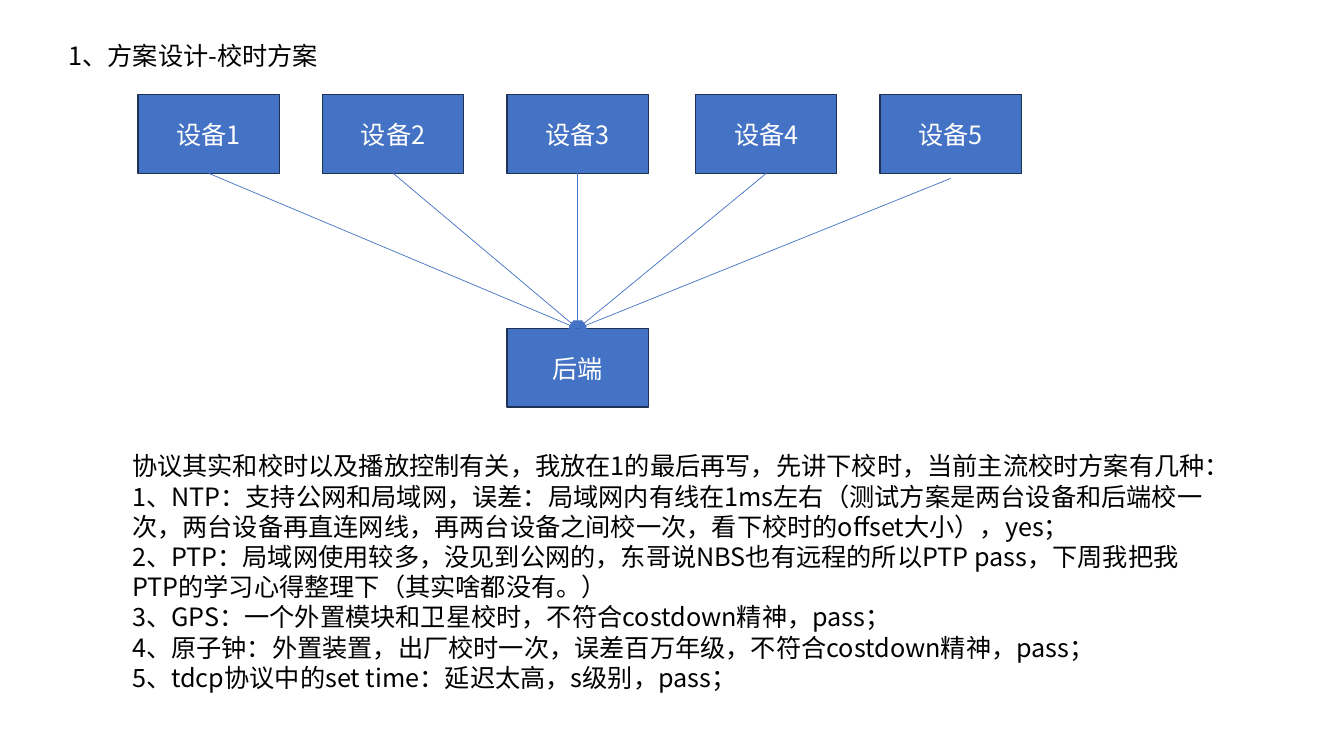
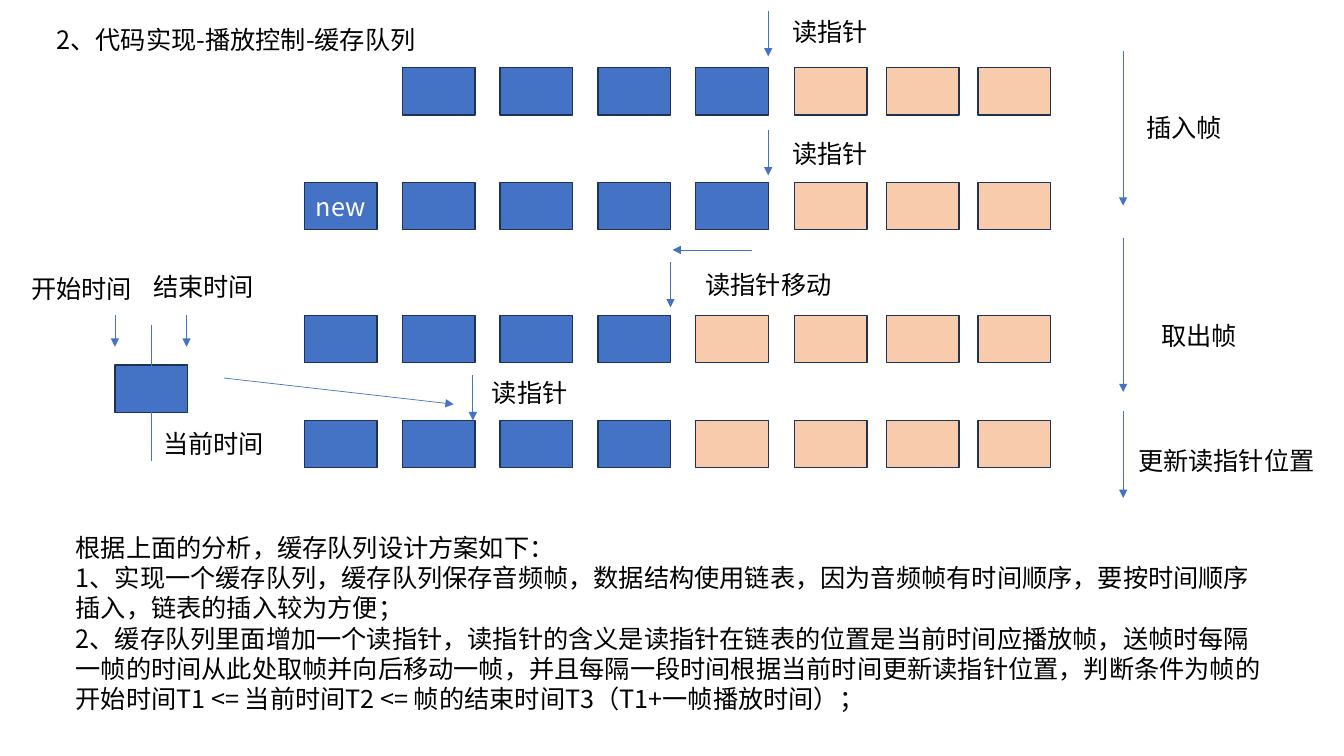
"""Build two slides on clock synchronisation and the playback frame queue."""
from lxml.etree import SubElement
from pptx import Presentation
from pptx.dml.color import RGBColor
from pptx.enum.lang import MSO_LANGUAGE_ID as Lang
from pptx.enum.shapes import MSO_CONNECTOR as Connector, MSO_SHAPE as Preset
from pptx.enum.text import MSO_ANCHOR as Anchor, MSO_AUTO_SIZE as AutoSize, PP_ALIGN as Align
from pptx.oxml.ns import qn
from pptx.util import Inches, Pt

COLORS = {"blue": "4472C4", "peach": "F8CBAD", "outline": "1E3256",
          "ink": "000000", "light": "FFFFFF"}
FONT = "Noto Sans CJK SC"
TEXT_SIZE = Pt(18)
TOP, BOTTOM = 0, 2


def color(name):
    return RGBColor.from_string(COLORS[name])


class Deck:
    def __init__(self):
        self.prs = Presentation()
        self.prs.slide_width = Inches(13.33)
        self.prs.slide_height = Inches(7.5)
        self.slide = None

    def new_slide(self):
        self.slide = self.prs.slides.add_slide(self.prs.slide_layouts[1])

    def run(self, paragraph, text, ink="ink"):
        run = paragraph.add_run()
        run.text = text
        run.font.size = TEXT_SIZE
        run.font.name = FONT
        run.font.color.rgb = color(ink)
        run.font.language_id = Lang.SIMPLIFIED_CHINESE
        SubElement(run.font._element, qn("a:ea"), typeface=FONT)

    def fill_placeholder(self, holder, box, lines):
        holder.left, holder.top, holder.width, holder.height = map(Inches, box)
        frame = holder.text_frame
        frame.word_wrap = True
        frame.auto_size = AutoSize.NONE
        frame.vertical_anchor = Anchor.TOP
        for index, line in enumerate(lines):
            paragraph = frame.add_paragraph() if index else frame.paragraphs[0]
            paragraph.alignment = Align.LEFT
            paragraph.space_before = Pt(0)
            props = paragraph._p.get_or_add_pPr()
            props.set("marL", "0")
            props.set("indent", "0")
            SubElement(props, qn("a:buNone"))
            self.run(paragraph, line)

    def title(self, text, box):
        self.fill_placeholder(self.slide.shapes.title, box, [text])

    def body(self, lines, box):
        self.fill_placeholder(self.slide.placeholders[1], box, lines)

    def box(self, left, top, width, height, text="", fill="blue"):
        box = self.slide.shapes.add_shape(
            Preset.RECTANGLE, Inches(left), Inches(top), Inches(width), Inches(height))
        box.shadow.inherit = False
        box.fill.solid()
        box.fill.fore_color.rgb = color(fill)
        box.line.color.rgb = color("outline")
        box.line.width = Pt(1)
        if text:
            box.text_frame.vertical_anchor = Anchor.MIDDLE
            paragraph = box.text_frame.paragraphs[0]
            paragraph.alignment = Align.CENTER
            self.run(paragraph, text, "light")
        return box

    def frame(self, left, top, text="", fill="blue"):
        return self.box(left, top, 0.72, 0.47, text, fill)

    def label(self, text, left, top, width):
        label = self.slide.shapes.add_textbox(
            Inches(left), Inches(top), Inches(width), Inches(0.4))
        label.text_frame.word_wrap = False
        label.text_frame.auto_size = AutoSize.SHAPE_TO_FIT_TEXT
        self.run(label.text_frame.paragraphs[0], text)

    def line(self, x1, y1, x2, y2, arrow=True):
        line = self.slide.shapes.add_connector(
            Connector.STRAIGHT, Inches(x1), Inches(y1), Inches(x2), Inches(y2))
        line.line.color.rgb = color("blue")
        line.line.width = Pt(0.5)
        props = line._element.spPr
        if arrow:
            SubElement(props.find(qn("a:ln")), qn("a:tailEnd"), type="triangle")
        SubElement(props, qn("a:effectLst"))
        return line


def sync_slide(deck):
    deck.new_slide()
    width, height, device_top, backend_top = 1.4, 0.78, 0.94, 3.26
    device_lefts = [1.37, 3.2, 5.03, 6.9, 8.73]
    devices = [deck.box(left, device_top, width, height, f"设备{number}")
               for number, left in enumerate(device_lefts, 1)]
    backend = deck.box(5.03, backend_top, width, height, "后端")
    for left, device in zip(device_lefts, devices):
        is_last = device is devices[-1]
        start_y = 1.77 if is_last else device_top + height
        link = deck.line(left + width / 2, start_y, 5.73, backend_top)
        if not is_last:
            link.begin_connect(device, BOTTOM)
        link.end_connect(backend, TOP)
    deck.body([
        "协议其实和校时以及播放控制有关，我放在1的最后再写，先讲下校时，当前主流校时方案有几种：",
        "1、NTP：支持公网和局域网，误差：局域网内有线在1ms左右（测试方案是两台设备和后端校一次，"
        "两台设备再直连网线，再两台设备之间校一次，看下校时的offset大小），yes；",
        "2、PTP：局域网使用较多，没见到公网的，东哥说NBS也有远程的所以PTP pass，"
        "下周我把我PTP的学习心得整理下（其实啥都没有。）",
        "3、GPS：一个外置模块和卫星校时，不符合costdown精神，pass；",
        "4、原子钟：外置装置，出厂校时一次，误差百万年级，不符合costdown精神，pass；",
        "5、tdcp协议中的set time：延迟太高，s级别，pass；",
    ], (1.21, 4.42, 10.92, 2.52))
    deck.title("1、方案设计-校时方案", (0.58, 0.35, 2.73, 0.7))


def queue_slide(deck):
    deck.new_slide()
    slots = [3.02 + 0.97 * i for i in range(5)] + [7.88 + 0.91 * i for i in range(3)]
    queue_rows = [(0.67, 1, 5), (1.81, 0, 5), (3.13, 0, 4), (4.17, 0, 4)]
    for row, (top, first, pointer) in enumerate(queue_rows):
        for slot in range(first, len(slots)):
            text = "new" if (row, slot) == (1, 0) else ""
            deck.frame(slots[slot], top, text, "blue" if slot < pointer else "peach")

    for x, y in [(7.62, 0.11), (7.62, 1.29), (6.65, 2.6), (4.69, 3.72)]:
        deck.line(x, y, x, y + 0.45)
    deck.line(7.46, 2.48, 6.67, 2.48)
    for start, end in [(0.51, 2.04), (2.36, 3.89), (4.08, 4.94)]:
        deck.line(11.14, start, 11.14, end)

    deck.frame(1.14, 3.62)
    for edge in (1.14, 1.85):
        deck.line(edge, 3.13, edge, 3.44)
    deck.line(1.5, 3.22, 1.5, 4.57, arrow=False)
    deck.line(2.22, 3.75, 4.5, 4.01)

    for text, left, top, width in [
        ("读指针", 7.76, 0.11, 0.96),
        ("读指针", 7.76, 1.32, 0.96),
        ("读指针移动", 6.9, 2.62, 1.46),
        ("读指针", 4.78, 3.69, 0.96),
        ("插入帧", 11.27, 1.07, 0.96),
        ("取出帧", 11.42, 3.13, 0.96),
        ("更新读指针位置", 11.19, 4.37, 1.97),
        ("开始时间", 0.21, 2.66, 1.21),
        ("结束时间", 1.42, 2.64, 1.21),
        ("当前时间", 1.52, 4.2, 1.21),
    ]:
        deck.label(text, left, top, width)

    deck.body([
        "根据上面的分析，缓存队列设计方案如下：",
        "1、实现一个缓存队列，缓存队列保存音频帧，数据结构使用链表，因为音频帧有时间顺序，"
        "要按时间顺序插入，链表的插入较为方便；",
        "2、缓存队列里面增加一个读指针，读指针的含义是读指针在链表的位置是当前时间应播放帧，"
        "送帧时每隔一帧的时间从此处取帧并向后移动一帧，并且每隔一段时间根据当前时间更新读指针位置，"
        "判断条件为帧的开始时间T1 <= 当前时间T2 <= 帧的结束时间T3（T1+一帧播放时间）；",
    ], (0.65, 5.23, 11.96, 1.92))
    deck.title("2、代码实现-播放控制-缓存队列", (0.46, 0.19, 3.87, 0.7))


def main():
    deck = Deck()
    sync_slide(deck)
    queue_slide(deck)
    deck.prs.save("out.pptx")


if __name__ == "__main__":
    main()
